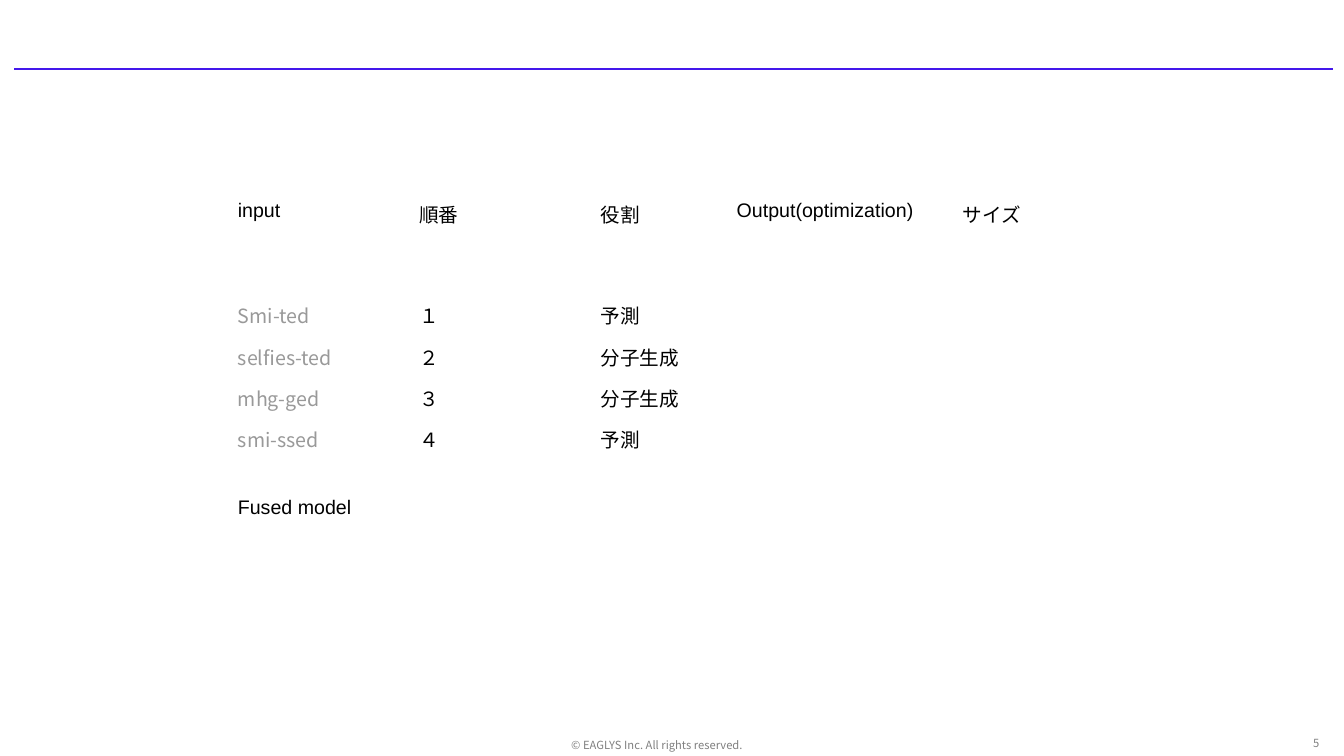
from lxml import etree
from pptx import Presentation
from pptx import util as u
from pptx.dml.color import RGBColor
from pptx.enum import shapes, text
from pptx.oxml import ns

COLORS = {"rule": "4418EB", "footer": "808080", "model": "999999", "body": "000000"}
BODY_FONT = "Arial"
JAPANESE_FONT = "Noto Sans CJK JP"
COLUMN_WIDTHS = [4.57, 4.57, 3.43, 5.69, 4.57]
ROW_HEIGHTS = [1.09, 1.47, 1.04, 1.04, 1.04, 1.04, 2.34]
ROWS = [
    ["input", "順番", "役割", "Output(optimization)", "サイズ"],
    [],
    ["Smi-ted", "１", "予測"],
    ["selfies-ted", "２", "分子生成"],
    ["mhg-ged", "３", "分子生成"],
    ["smi-ssed", "４", "予測"],
    ["Fused model"],
]
MODEL_ROWS = range(2, 6)
FUSED_ROW = 6


def format_run(run, size, font, color):
    run.font.size = u.Pt(size)
    run.font.name = font
    run.font.color.rgb = RGBColor.from_string(COLORS[color])
    east_asian = etree.SubElement(run.font._element, ns.qn("a:ea"))
    east_asian.set("typeface", JAPANESE_FONT)


def add_rule(slide):
    rule = slide.shapes.add_connector(
        shapes.MSO_CONNECTOR.STRAIGHT, u.Cm(0.36), u.Cm(1.73), u.Cm(33.6), u.Cm(1.73))
    rule.line.color.rgb = RGBColor.from_string(COLORS["rule"])
    rule.line.width = u.Pt(1.5)
    etree.SubElement(rule._element.spPr, ns.qn("a:effectLst"))


def add_footer(slide, wording, left, top, width, align):
    footer = slide.shapes.add_textbox(u.Cm(left), u.Cm(top), u.Cm(width), u.Cm(0.33))
    frame = footer.text_frame
    frame.word_wrap = True
    frame.vertical_anchor = text.MSO_ANCHOR.MIDDLE
    frame.margin_top = frame.margin_bottom = 0
    frame.text = wording
    frame.paragraphs[0].alignment = align
    format_run(frame.paragraphs[0].runs[0], 8, JAPANESE_FONT, "footer")


def fill_cell(cell, wording, is_model):
    cell.fill.background()
    if wording:
        cell.text_frame.text = wording
        font, color = (JAPANESE_FONT, "model") if is_model else (BODY_FONT, "body")
        format_run(cell.text_frame.paragraphs[0].runs[0], 14, font, color)


def add_model_table(slide):
    models = slide.shapes.add_table(
        len(ROW_HEIGHTS), len(COLUMN_WIDTHS), u.Cm(5.74), u.Cm(4.9),
        u.Cm(sum(COLUMN_WIDTHS)), u.Cm(sum(ROW_HEIGHTS))).table
    models.first_row = models.horz_banding = False
    for column, width in zip(models.columns, COLUMN_WIDTHS):
        column.width = u.Cm(width)
    for r, (row, height) in enumerate(zip(models.rows, ROW_HEIGHTS)):
        row.height = u.Cm(height)
        for c, cell in enumerate(row.cells):
            wording = ROWS[r][c] if c < len(ROWS[r]) else ""
            fill_cell(cell, wording, c == 0 and r in MODEL_ROWS)
    models.cell(FUSED_ROW, 0).vertical_anchor = text.MSO_ANCHOR.MIDDLE


def main():
    deck = Presentation()
    deck.slide_width, deck.slide_height = u.Cm(33.87), u.Cm(19.05)
    slide = deck.slides.add_slide(deck.slide_layouts[6])
    add_footer(slide, "© EAGLYS Inc. All rights reserved.",
               13.46, 18.62, 6.2, text.PP_ALIGN.CENTER)
    add_rule(slide)
    add_footer(slide, "5", 31.8, 18.57, 1.7, text.PP_ALIGN.RIGHT)
    add_model_table(slide)
    deck.save("out.pptx")


if __name__ == "__main__":
    main()
